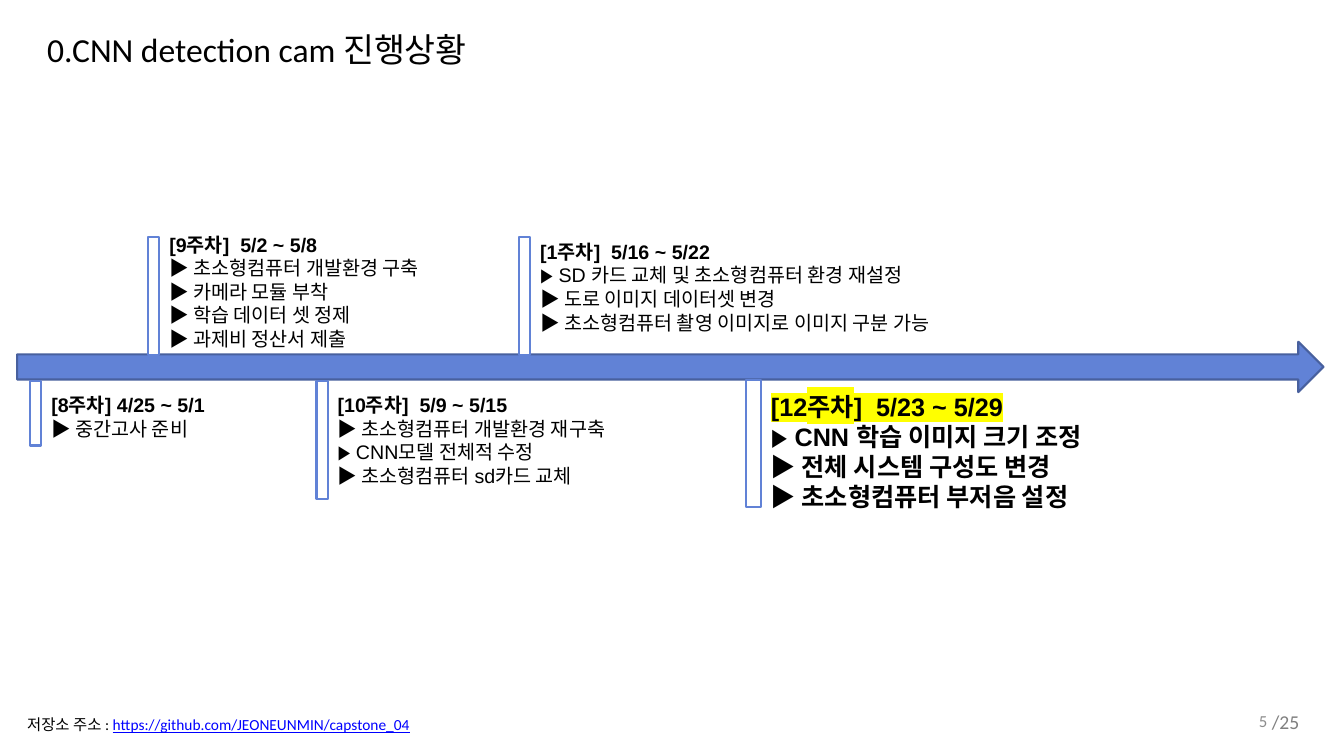
from lxml.etree import SubElement
from pptx import Presentation
from pptx.dml.color import RGBColor
from pptx.enum.shapes import MSO_SHAPE
from pptx.enum.text import MSO_ANCHOR, MSO_AUTO_SIZE, PP_ALIGN
from pptx.oxml.ns import qn
from pptx.util import Inches, Pt

WIDE, HIGH = Inches(13.333), Inches(7.5)
HUES = {"ink": "000000", "white": "FFFFFF", "blue": "6182D6", "edge": "48609E",
        "link": "0000FF", "gray": "808080", "pale": "8C8C8C", "mark": "FFFF00"}

# Post left, post top, post width, post height; text top, width, height;
# text size; whether the week stands out; heading; tasks
WEEKS = [
    ((2.25, 50.4, 0.83, 8.53), (51.33, 16.65, 7.6), 14, False,
     "[8주차] 4/25 ~ 5/1", ["중간고사 준비"]),
    ((11.03, 31.33, 0.83, 15.6), (30.13, 31.5, 20.13), 14, False,
     "[9주차]  5/2 ~ 5/8",
     ["초소형컴퓨터 개발환경 구축", "카메라 모듈 부착",
      "학습 데이터 셋 정제", "과제비 정산서 제출"]),
    ((23.55, 50.4, 0.83, 15.6), (51.33, 25.28, 13.87), 14, False,
     "[10주차]  5/9 ~ 5/15",
     ["초소형컴퓨터 개발환경 재구축", "CNN모델 전체적 수정",
      "초소형컴퓨터 sd카드 교체"]),
    ((38.63, 31.33, 0.83, 15.6), (31.07, 36.98, 13.87), 14, False,
     "[1주차]  5/16 ~ 5/22",
     ["SD 카드 교체 및 초소형컴퓨터 환경 재설정", "도로 이미지 데이터셋 변경",
      "초소형컴퓨터 촬영 이미지로 이미지 구분 가능"]),
    ((55.5, 50.27, 1.13, 16.8), (51.07, 43.2, 17.47), 18, True,
     "[12주차]  5/23 ~ 5/29",
     ["CNN 학습 이미지 크기 조정", "전체 시스템 구성도 변경",
      "초소형컴퓨터 부저음 설정"]),
]


def place(left, top, width, height):
    """Turn percentages of the slide into lengths."""
    return [int(share * side / 100) for share, side in
            zip((left, top, width, height), (WIDE, HIGH, WIDE, HIGH))]


def paint(name):
    return RGBColor.from_string(HUES[name])


def add_run(para, text, hue="ink", mark=None, **style):
    run = para.add_run()
    run.text = text
    for key, value in style.items():
        setattr(run.font, key, value)
    run.font.color.rgb = paint(hue)
    if mark:
        props = run.font._element
        light = SubElement(props, qn("a:highlight"))
        SubElement(light, qn("a:srgbClr"), val=HUES[mark])
        props.find(qn("a:solidFill")).addnext(light)


def add_text(slide, box, paras, align=PP_ALIGN.LEFT, **style):
    """Add a text box; each paragraph is a list of (text, format) runs."""
    frame = slide.shapes.add_textbox(*place(*box)).text_frame
    look = {"word_wrap": True, "auto_size": MSO_AUTO_SIZE.SHAPE_TO_FIT_TEXT}
    for key, value in {**look, **style}.items():
        setattr(frame, key, value)
    for i, runs in enumerate(paras):
        para = frame.add_paragraph() if i else frame.paragraphs[0]
        para.alignment = align
        for text, form in runs:
            add_run(para, text, **form)


def add_block(slide, kind, box, fill, edge):
    block = slide.shapes.add_shape(kind, *place(*box))
    block.shadow.inherit = False
    block.fill.solid()
    block.fill.fore_color.rgb = paint(fill)
    block.line.color.rgb = paint(edge)
    block.line.width = Pt(1.5)


def add_week(slide, post, area, size, strong, head, tasks):
    """Add a post on the time line with its notes on the right."""
    top, width, height = area
    base = {"size": Pt(size), "name": "Arial"}
    paras = [[(head, {**base, "bold": True, "mark": "mark" if strong else None})]]
    for task in tasks:
        paras.append([("▶ ", {**base, "bold": False}),
                      (task, {**base, "bold": strong})])
    add_text(slide, (post[0] + post[2], top, width, height), paras)
    add_block(slide, MSO_SHAPE.RECTANGLE, post, "white", "blue")


def main():
    deck = Presentation()
    deck.slide_width, deck.slide_height = WIDE, HIGH
    slide = deck.slides.add_slide(deck.slide_layouts[6])
    title, note, page, total = [{"name": "Calibri", "size": Pt(size)}
                                for size in (24, 11, 12, 14)]

    add_text(slide, (2.78, 3.2, 35.63, 6.53),
             [[("0.CNN detection cam 진행상황", title)]], word_wrap=False)
    add_block(slide, MSO_SHAPE.RIGHT_ARROW, (1.28, 45.2, 97.2, 6.67),
              "blue", "edge")
    for week in WEEKS:
        add_week(slide, *week)

    link = {**note, "hue": "link", "underline": True}
    add_text(slide, (1.28, 94, 34.58, 3.87),
             [[("저장소 주소 : ", note),
               ("https://github.com/JEONEUNMIN/capstone_04", link)]])
    add_text(slide, (71.7, 92.67, 23.33, 5.33),
             [[("5", {**page, "hue": "pale"})]], align=PP_ALIGN.RIGHT,
             auto_size=MSO_AUTO_SIZE.NONE, vertical_anchor=MSO_ANCHOR.MIDDLE)
    add_text(slide, (93.9, 93.2, 3.6, 4.53),
             [[("/25", {**total, "hue": "gray"})]], word_wrap=False)
    deck.save("out.pptx")


if __name__ == "__main__":
    main()
